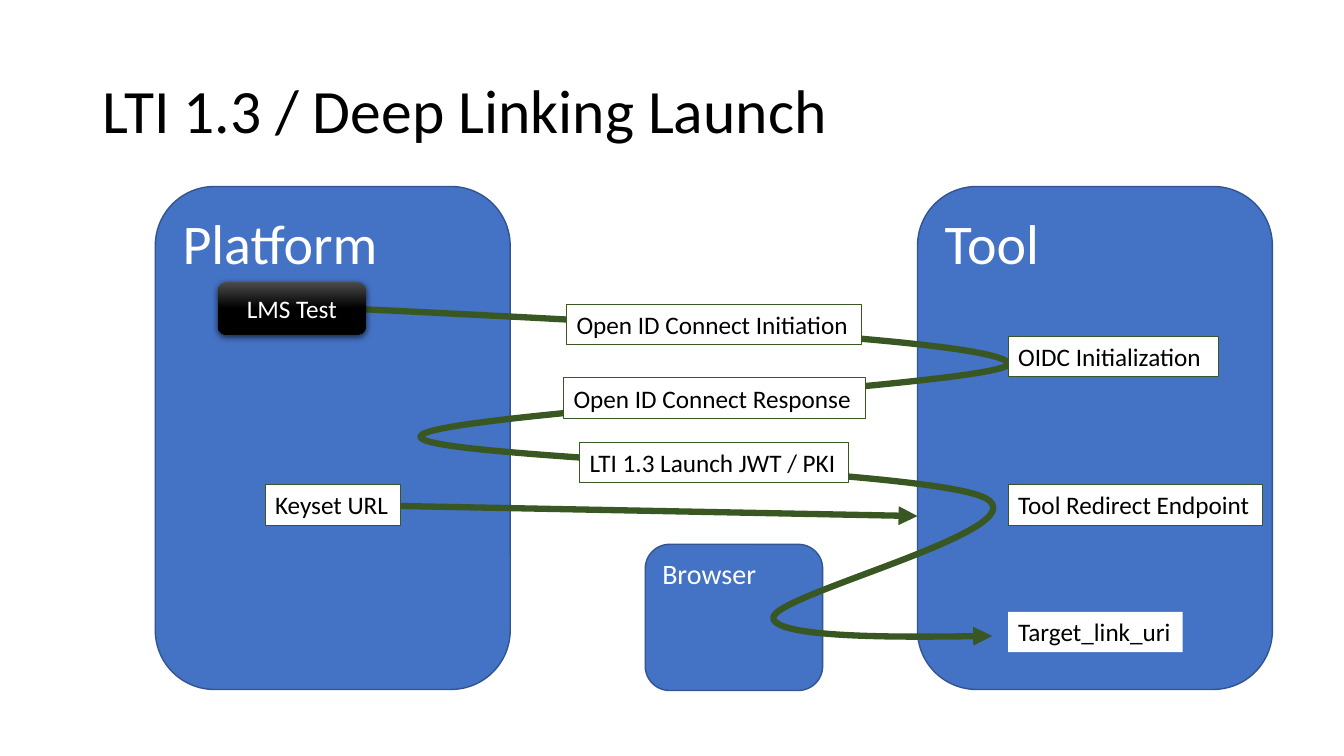
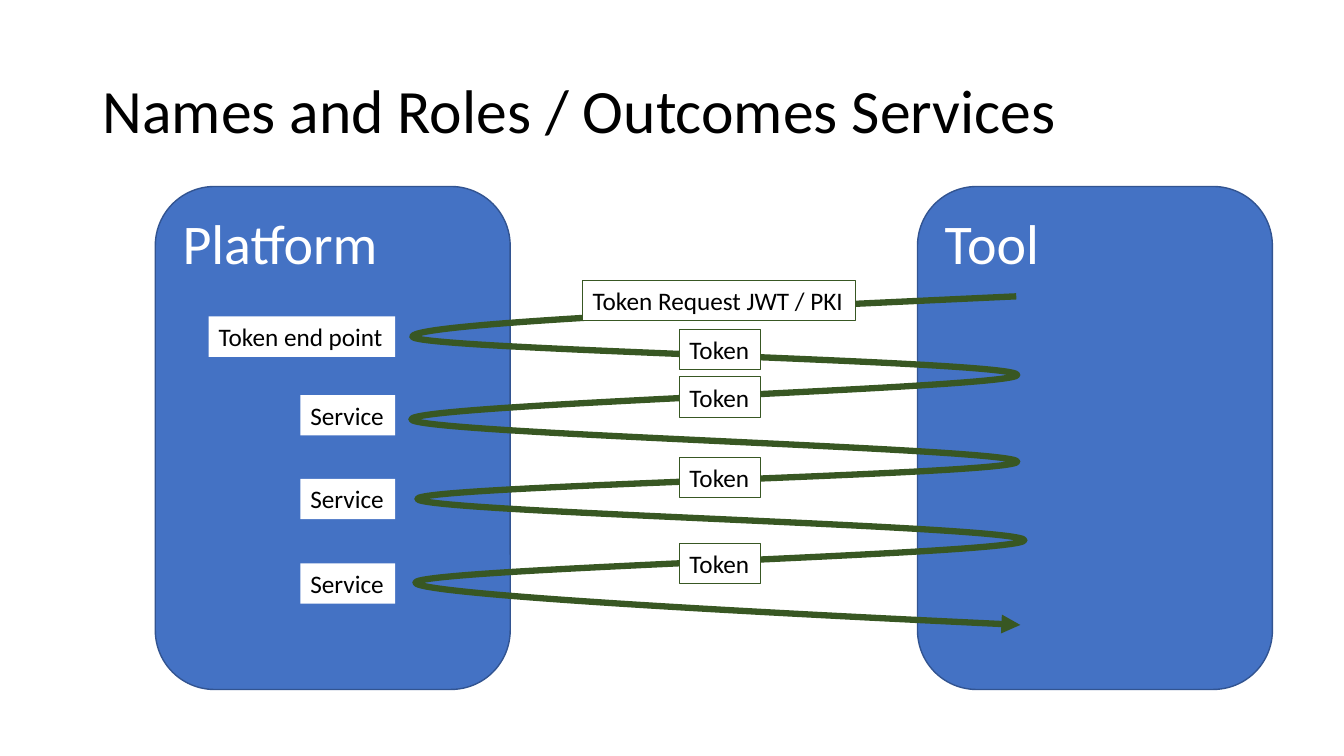
from itertools import chain

from lxml import etree
from pptx import Presentation
from pptx import util as u
from pptx.dml.color import RGBColor
from pptx.enum import shapes, text
from pptx.oxml import ns

FONT = "Calibri"
BLUE, BLUE_EDGE = "4472C4", "325491"
GREEN, WHITE, BLACK, GREY = "385723", "FFFFFF", "000000", "4B4B4B"
PANEL_TOP, PANEL_W, PANEL_H = 1.85, 3.52, 4.99
PLATFORM_X, TOOL_X = 1.54, 9.1
LABEL_H = 0.4
TOOL_LABEL_X = 10
SERVICE_RIGHT = 3.92
TOKEN_X, TOKEN_W = 6.74, 0.8

# Each curve is a start point followed by (control, control, end) triples.
LAUNCH_PATH = (3.23, 3.05), [
    [(6.54, 3.21), (9.84, 3.38), (10, 3.6)],
    [(10.16, 3.81), (4.21, 4.1), (4.17, 4.33)],
    [(4.13, 4.55), (9.18, 4.64), (9.77, 4.94)],
    [(10.35, 5.24), (7.66, 5.9), (7.67, 6.13)],
    [(7.68, 6.35), (9.84, 6.31), (9.84, 6.31)],
]
SERVICES_PATH = (10.08, 2.94), [
    [(7.08, 3.08), (4.09, 3.21), (4.09, 3.34)],
    [(4.1, 3.47), (10.1, 3.58), (10.09, 3.72)],
    [(10.09, 3.85), (4.08, 4.01), (4.08, 4.16)],
    [(4.08, 4.3), (10.08, 4.45), (10.09, 4.58)],
    [(10.1, 4.71), (4.13, 4.82), (4.14, 4.95)],
    [(4.15, 5.08), (10.16, 5.22), (10.16, 5.36)],
    [(10.15, 5.5), (4.13, 5.64), (4.12, 5.78)],
    [(4.12, 5.92), (10.12, 6.2), (10.12, 6.2)],
]


def rgb(value):
    return RGBColor.from_string(value)


def inches(*values):
    return [u.Inches(v) for v in values]


def add_xml(parent, tag, **attrs):
    return etree.SubElement(parent, ns.qn(tag), attrs)


def write(sp, words, size, color, align=text.PP_ALIGN.LEFT,
          anchor=text.MSO_ANCHOR.TOP):
    tf = sp.text_frame
    tf.word_wrap = True
    tf.vertical_anchor = anchor
    p = tf.paragraphs[0]
    p.text = words
    p.alignment = align
    p.font.name, p.font.size = FONT, u.Pt(size)
    p.font.color.rgb = rgb(color)
    return tf


def add_box(s, kind, x, y, w, h, fill=None, edge=None, edge_pt=1):
    sp = s.shapes.add_shape(kind, *inches(x, y, w, h))
    sp.shadow.inherit = False
    if fill:
        sp.fill.solid()
        sp.fill.fore_color.rgb = rgb(fill)
    if edge:
        sp.line.color.rgb = rgb(edge)
        sp.line.width = u.Pt(edge_pt)
    else:
        sp.line.fill.background()
    return sp


def add_panel(s, words, x, y=PANEL_TOP, w=PANEL_W, h=PANEL_H, size=40):
    sp = add_box(s, shapes.MSO_SHAPE.ROUNDED_RECTANGLE, x, y, w, h,
                 BLUE, BLUE_EDGE)
    write(sp, words, size, WHITE)


def add_label(s, words, x, y, w, edge=GREEN):
    sp = add_box(s, shapes.MSO_SHAPE.RECTANGLE, x, y, w, LABEL_H,
                 WHITE, edge, 0.75)
    tf = write(sp, words, 18, BLACK)
    tf.word_wrap = False
    tf.auto_size = text.MSO_AUTO_SIZE.SHAPE_TO_FIT_TEXT


def add_button(s, words, x, y, w, h):
    """Glossy black button with a soft shadow below it."""
    sp = add_box(s, shapes.MSO_SHAPE.ROUNDED_RECTANGLE, x, y, w, h)
    sp.fill.gradient()
    sp.fill.gradient_angle = 270
    for stop, position, color in zip(sp.fill.gradient_stops, (0, 0.5),
                                     (GREY, BLACK)):
        stop.position = position
        stop.color.rgb = rgb(color)
    effects = sp._element.spPr.find(ns.qn("a:effectLst"))
    shadow = add_xml(effects, "a:outerShdw", blurRad=str(u.Pt(4.5)),
                     dist=str(u.Pt(1.5)), dir="5400000", rotWithShape="0")
    add_xml(add_xml(shadow, "a:srgbClr", val=BLACK), "a:alpha", val="63000")
    write(sp, words, 18, WHITE, text.PP_ALIGN.CENTER, text.MSO_ANCHOR.MIDDLE)


def style_arrow(sp):
    sp.line.color.rgb = rgb(GREEN)
    sp.line.width = u.Pt(4.5)
    add_xml(sp.line._get_or_add_ln(), "a:tailEnd", type="triangle")


def add_straight_arrow(s, start, end):
    line = s.shapes.add_connector(shapes.MSO_CONNECTOR.STRAIGHT,
                                  *inches(*start, *end))
    style_arrow(line)
    add_xml(line._element.spPr, "a:effectLst")


def add_curved_arrow(s, start, segments):
    """Draw the points as a polyline, then turn each triple into a Bezier."""
    builder = s.shapes.build_freeform(*inches(*start))
    builder.add_line_segments(
        [inches(*point) for point in chain.from_iterable(segments)],
        close=False)
    sp = builder.convert_to_shape()
    outline = next(sp._element.iter(ns.qn("a:path")))
    steps = outline.findall(ns.qn("a:lnTo"))
    for i in range(0, len(steps), 3):
        curve = add_xml(outline, "a:cubicBezTo")
        for step in steps[i:i + 3]:
            curve.append(step[0])
            outline.remove(step)
    sp.shadow.inherit = False
    sp.fill.background()
    style_arrow(sp)


def add_base_slide(prs, title):
    """Blank slide with the title and the two facing panels."""
    s = prs.slides.add_slide(prs.slide_layouts[6])
    add_panel(s, "Platform", PLATFORM_X)
    add_panel(s, "Tool", TOOL_X)
    box = s.shapes.add_textbox(*inches(0.92, 0.4, 11.5, 1.45))
    tf = write(box, title, 44, BLACK, anchor=text.MSO_ANCHOR.MIDDLE)
    tf.paragraphs[0].line_spacing = 0.9
    return s


def build_launch(prs):
    s = add_base_slide(prs, "LTI 1.3 / Deep Linking Launch")
    add_panel(s, "Browser", 6.4, 5.4, 1.76, 1.45, size=20)
    add_curved_arrow(s, *LAUNCH_PATH)
    add_button(s, "LMS Test", 2.16, 2.8, 1.47, 0.52)
    add_straight_arrow(s, (3.97, 5.02), (TOOL_X, 5.12))
    for words, x, y, w in [
        ("Open ID Connect Initiation", 5.62, 3.02, 2.93),
        ("Open ID Connect Response", 5.59, 3.75, 2.99),
        ("LTI 1.3 Launch JWT / PKI", 5.75, 4.39, 2.67),
        ("Keyset URL", 2.63, 4.81, 1.34),
        ("OIDC Initialization", TOOL_LABEL_X, 3.34, 2.09),
        ("Tool Redirect Endpoint", TOOL_LABEL_X, 4.81, 2.52),
    ]:
        add_label(s, words, x, y, w)
    add_label(s, "Target_link_uri", TOOL_LABEL_X, 6.07, 1.73, edge=None)


def build_services(prs):
    s = add_base_slide(prs, "Names and Roles / Outcomes Services")
    add_curved_arrow(s, *SERVICES_PATH)
    add_label(s, "Token Request JWT / PKI", 5.78, 2.78, 2.71)
    for words, y, w in [("Token end point", 3.14, 1.85),
                        ("Service", 3.92, 0.94),
                        ("Service", 4.75, 0.94),
                        ("Service", 5.59, 0.94)]:
        add_label(s, words, SERVICE_RIGHT - w, y, w, edge=None)
    for y in (3.27, 3.74, 4.54, 5.39):
        add_label(s, "Token", TOKEN_X, y, TOKEN_W)


def main():
    prs = Presentation()
    prs.slide_width, prs.slide_height = inches(13.33, 7.5)
    build_launch(prs)
    build_services(prs)
    prs.save("out.pptx")


if __name__ == "__main__":
    main()
